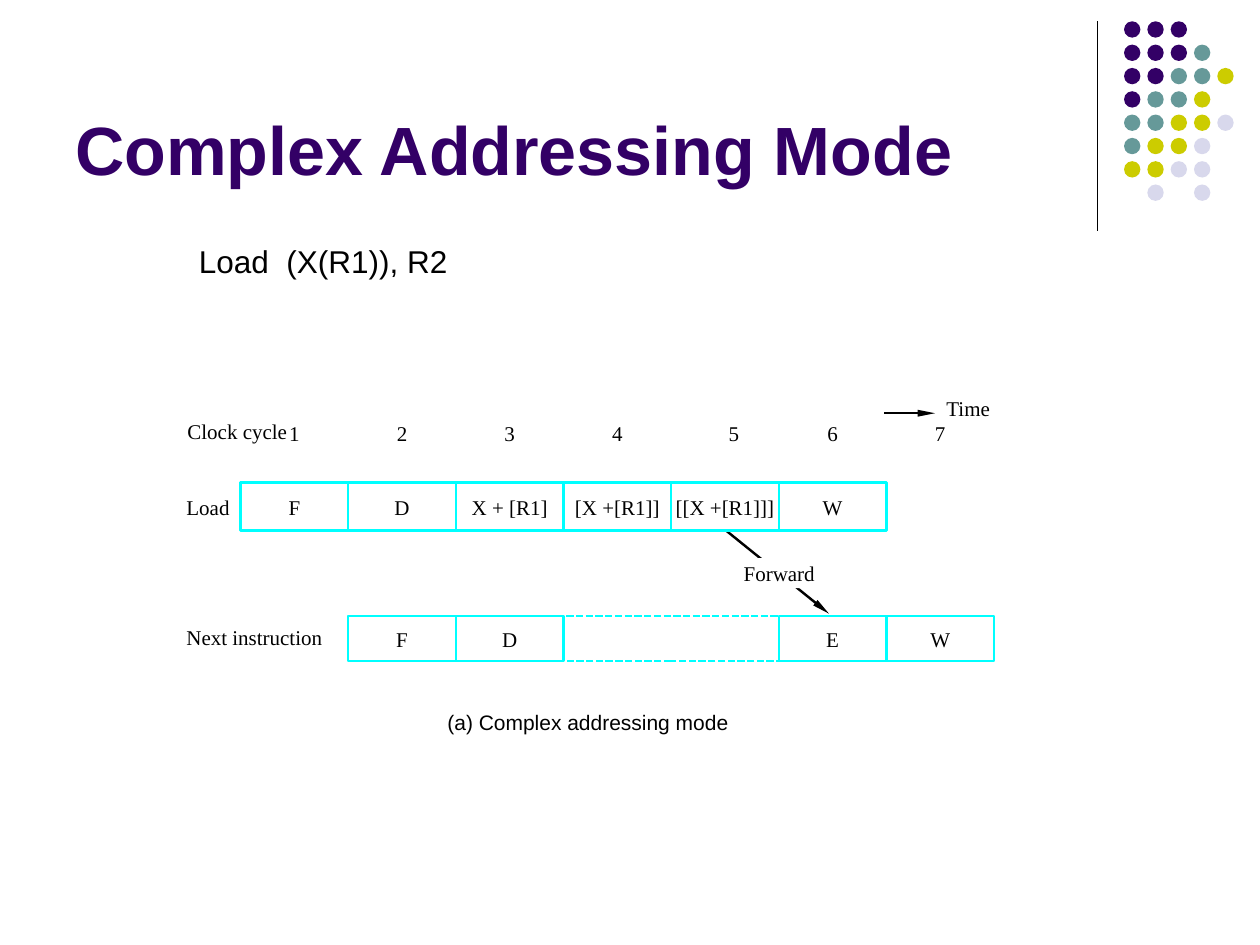
from lxml.etree import SubElement
from pptx import Presentation
from pptx.dml.color import RGBColor
from pptx.enum.dml import MSO_LINE
from pptx.enum.shapes import MSO_CONNECTOR, MSO_SHAPE
from pptx.enum.text import MSO_ANCHOR as Anchor, PP_ALIGN as Align
from pptx.oxml.ns import qn
from pptx.util import Cm, Pt

COLORS = {
    "title": "330066",
    "text": "000000",
    "cell": "00FFFF",
    "paper": "FFFFFF",
    "P": "330066",
    "T": "669999",
    "Y": "CCCC00",
    "L": "D8D8EC",
}
SERIF, SANS = "Times New Roman", "Arial"
STROKE = 1.39

# Pipeline grid, in cm
GRID_LEFT, CYCLE = 4.85, 2.17
LOAD_TOP, LOAD_HEIGHT = 9.73, 0.97
NEXT_TOP, NEXT_HEIGHT = 12.42, 0.91

DOT_ROWS = ["PPP", "PPPT", "PPTTY", "PTTY", "TTYYL", "TYYL", "YYLL", " L L"]
LOAD_STAGES = ["F", "D", "X + [R1]", "[X +[R1]]", "[[X +[R1]]]", "W"]
NEXT_STAGES = {1: "F", 2: "D", 5: "E", 6: "W"}


def color(key):
    return RGBColor.from_string(COLORS[key])


def write(frame, text, size=12, font=SERIF, key="text", bold=False, align=Align.LEFT):
    frame.text = text
    paragraph = frame.paragraphs[0]
    paragraph.alignment = align
    style = paragraph.runs[0].font
    style.size, style.name, style.bold = Pt(size), font, bold
    style.color.rgb = color(key)


def set_insets(frame, x, y):
    frame.margin_left = frame.margin_right = Cm(x)
    frame.margin_top = frame.margin_bottom = Cm(y)


def add_label(slide, text, left, top, width, height=0.51, insets=(0, 0),
              anchor=Anchor.TOP, **style):
    frame = slide.shapes.add_textbox(Cm(left), Cm(top), Cm(width), Cm(height)).text_frame
    frame.word_wrap = True
    frame.vertical_anchor = anchor
    set_insets(frame, *insets)
    write(frame, text, **style)


def add_block(slide, kind, left, top, width, height, fill=None, line=None, text=None):
    block = slide.shapes.add_shape(kind, Cm(left), Cm(top), Cm(width), Cm(height))
    block.shadow.inherit = False
    if fill:
        block.fill.solid()
        block.fill.fore_color.rgb = color(fill)
    else:
        block.fill.background()
    if line:
        block.line.color.rgb = color(line)
        block.line.width = Pt(STROKE)
    else:
        block.line.fill.background()
    if text:
        frame = block.text_frame
        frame.word_wrap = False
        frame.vertical_anchor = Anchor.MIDDLE
        set_insets(frame, 0, 0)
        write(frame, text, align=Align.CENTER)
    return block


def add_line(slide, start, end, weight=STROKE, arrow=False):
    points = [Cm(value) for value in (*start, *end)]
    rule = slide.shapes.add_connector(MSO_CONNECTOR.STRAIGHT, *points)
    rule.line.color.rgb = color("text")
    rule.line.width = Pt(weight)
    if arrow:
        SubElement(rule.line._get_or_add_ln(), qn("a:tailEnd"),
                   type="triangle", w="sm", len="lg")
    SubElement(rule._element.spPr, qn("a:effectLst"))


def add_stage(slide, cycle, top, height, text=None, span=1):
    return add_block(slide, MSO_SHAPE.RECTANGLE, GRID_LEFT + cycle * CYCLE, top,
                     span * CYCLE, height, line="cell", text=text)


def add_decoration(slide):
    add_line(slide, (22.12, 0.43), (22.12, 4.65), weight=0.75)
    for row, keys in enumerate(DOT_ROWS):
        for column, key in enumerate(keys):
            if key != " ":
                add_block(slide, MSO_SHAPE.OVAL, 22.66 + column * 0.47,
                          0.43 + row * 0.47, 0.33, 0.33, fill=key)


def add_time_axis(slide):
    add_label(slide, "Clock cycle", 3.78, 8.43, 2.1)
    for cycle in range(7):
        nudge = 0.18 if cycle == 4 else 0
        center = GRID_LEFT + (cycle + 0.5) * CYCLE + nudge
        add_label(slide, str(cycle + 1), center - 0.25, 8.48, 0.5, align=Align.CENTER)
    add_line(slide, (17.83, 8.33), (18.85, 8.33), arrow=True)
    add_label(slide, "Time", 19.08, 7.98, 1.2)


def add_pipeline(slide):
    # Forwarding path, under the stage borders
    add_line(slide, (14.63, 10.69), (16.71, 12.37), arrow=True)
    add_block(slide, MSO_SHAPE.RECTANGLE, 14.73, 11.25, 1.96, 0.61,
              fill="paper", text="Forward")

    # Load instruction
    add_label(slide, "Load", 3.76, 9.96, 1.05)
    for cycle, stage in enumerate(LOAD_STAGES):
        add_stage(slide, cycle, LOAD_TOP, LOAD_HEIGHT, stage)

    # Next instruction, stalled for two cycles
    add_label(slide, "Next instruction", 3.76, 12.6, 3.2)
    stall = add_stage(slide, 3, NEXT_TOP, NEXT_HEIGHT, span=2)
    stall.line.dash_style = MSO_LINE.SQUARE_DOT
    for cycle, stage in NEXT_STAGES.items():
        add_stage(slide, cycle, NEXT_TOP, NEXT_HEIGHT, stage)


def main():
    deck = Presentation()
    deck.slide_width, deck.slide_height = Cm(25.4), Cm(19.05)
    slide = deck.slides.add_slide(deck.slide_layouts[6])

    add_decoration(slide)
    add_label(slide, "Complex Addressing Mode", 1.27, 0.33, 20.96, 3.61,
              insets=(0.25, 0.13), anchor=Anchor.BOTTOM,
              size=39, font=SANS, key="title", bold=True)
    add_label(slide, "Load  (X(R1)), R2", 3.76, 4.75, 6, 1.02,
              insets=(0.25, 0.13), size=18, font=SANS)
    add_time_axis(slide)
    add_pipeline(slide)
    add_label(slide, "(a) Complex addressing mode", 9.02, 14.3, 6, font=SANS)

    deck.save("out.pptx")


if __name__ == "__main__":
    main()
